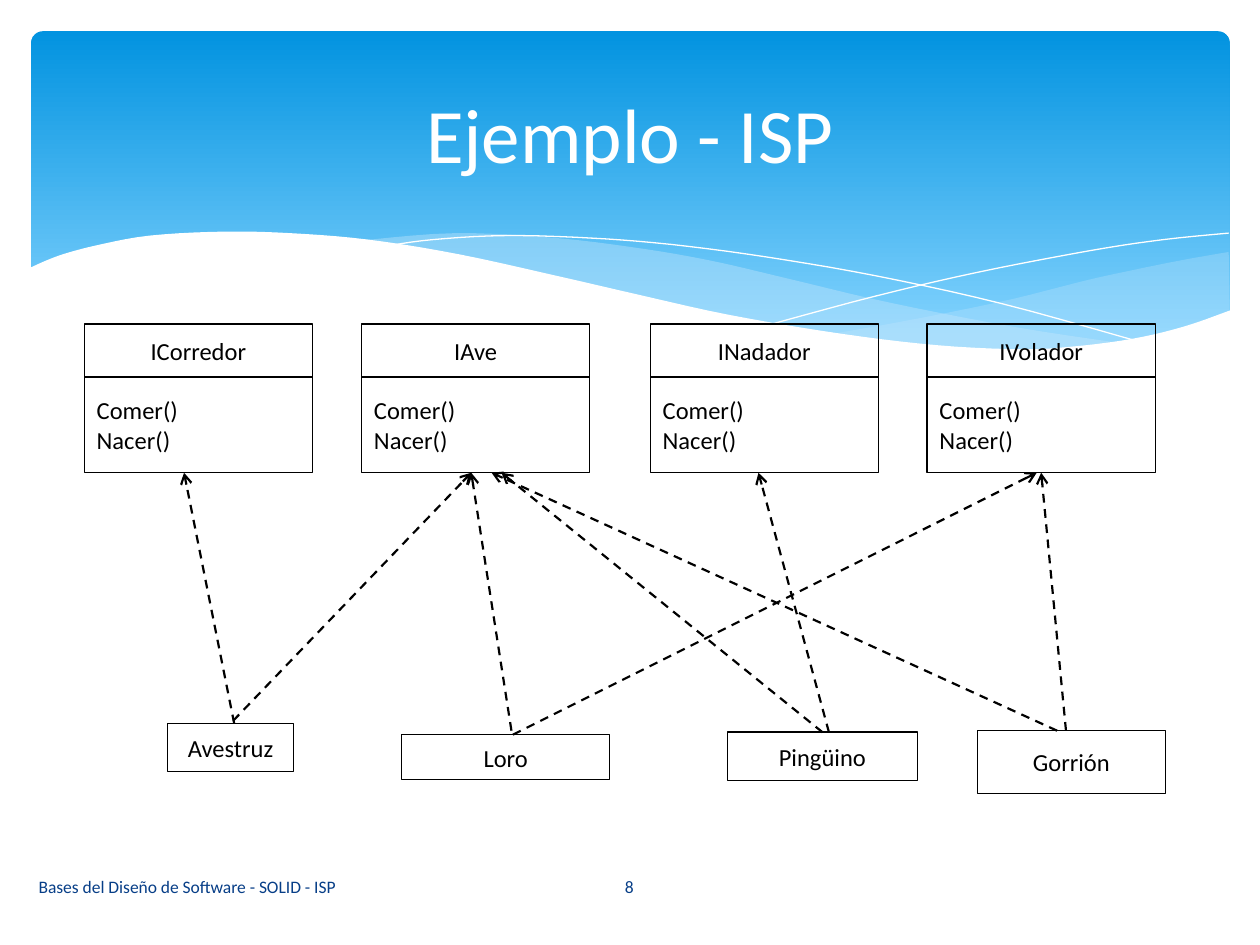
from itertools import pairwise

from lxml import etree
from pptx import Presentation, util as u
from pptx.dml.color import RGBColor
from pptx.enum import dml, shapes, text
from pptx.oxml import ns

WHITE = RGBColor(0xFF, 0xFF, 0xFF)
BLACK = RGBColor(0x00, 0x00, 0x00)
NAVY = RGBColor(0x07, 0x3E, 0x87)
SKY_TOP = RGBColor(0x02, 0x93, 0xE0)
SKY_BOTTOM = RGBColor(0x83, 0xD3, 0xFE)
MIST = RGBColor(0xC6, 0xE7, 0xFC)


def write(shape, content, size=14, color=BLACK, align=text.PP_ALIGN.CENTER):
    frame = shape.text_frame
    frame.word_wrap = True
    frame.auto_size = text.MSO_AUTO_SIZE.NONE
    frame.vertical_anchor = text.MSO_ANCHOR.MIDDLE
    for index, line in enumerate(content.split("\n")):
        para = frame.add_paragraph() if index else frame.paragraphs[0]
        para.alignment = align
        span = para.add_run()
        span.text = line
        span.font.name = "Calibri"
        span.font.size = u.Pt(size)
        span.font.color.rgb = color


def smooth(knots, steps=5):
    padded = [knots[0], *knots, knots[-1]]
    points = [knots[0]]
    for a, b, c, d in zip(padded, padded[1:], padded[2:], padded[3:]):
        for step in range(1, steps + 1):
            t = step / steps
            points.append(tuple(
                0.5 * (2 * q + (r - p) * t + (2 * p - 5 * q + 4 * r - s) * t**2
                       + (3 * q - p - 3 * r + s) * t**3)
                for p, q, r, s in zip(a, b, c, d)))
    return points


deck = Presentation()
deck.slide_width, deck.slide_height = u.Cm(25.4), u.Cm(19.05)
page = deck.slides.add_slide(deck.slide_layouts[5])

banner = page.shapes.add_shape(
    shapes.MSO_SHAPE.ROUNDED_RECTANGLE, u.Cm(0.63), u.Cm(0.63), u.Cm(24.16), u.Cm(6.86))
banner.adjustments[0] = 0.034
banner.shadow.inherit = False
banner.line.fill.background()
banner.fill.gradient()
banner.fill.gradient_angle = 270
for stop, color, position in zip(banner.fill.gradient_stops, (SKY_TOP, SKY_BOTTOM), (0, 0.9)):
    stop.color.rgb = color
    stop.position = position

right_wave = smooth([
    (24.77, 5.08), (23.75, 5.26), (22.63, 5.49), (21.87, 5.66), (20.45, 6.02),
    (19.13, 6.3), (17.93, 6.53), (16.79, 6.73),
]) + smooth([
    (16.79, 6.73), (17.91, 6.88), (18.92, 6.99), (20.4, 7.06), (21.69, 7.01),
    (22.78, 6.86), (23.75, 6.65), (24.79, 6.27),
])
middle_wave = smooth([
    (22.68, 6.93), (20.5, 6.6), (17.93, 6.1), (15.98, 5.64), (14.45, 5.28),
    (13.06, 5.03), (11.23, 4.8), (9.17, 4.7), (7.26, 4.85),
]) + smooth([
    (7.26, 4.85), (9.19, 5.16), (11.4, 5.64), (13.46, 6.1), (15.27, 6.48),
    (16.89, 6.76), (18.69, 6.99), (20.22, 7.06), (21.54, 7.04), (22.68, 6.93),
])
falling_line = smooth([
    (7.85, 4.95), (8.74, 4.83), (10.19, 4.75), (11.91, 4.8), (13.54, 4.93),
    (15.44, 5.18), (17.65, 5.56), (20.19, 6.12), (23.04, 6.91),
])
rising_line = smooth([
    (15.57, 6.53), (17.65, 5.97), (19.71, 5.49), (22, 5.05), (23.47, 4.83), (24.77, 4.7),
])
white_wave = smooth([
    (24.82, 6.25), (23.88, 6.58), (22.83, 6.83), (21.59, 6.99), (20.55, 7.04),
    (18.9, 6.96), (16.97, 6.73), (14.71, 6.35), (12.78, 5.92), (11.35, 5.59),
    (9.27, 5.13), (7.42, 4.83), (5.84, 4.7), (4.5, 4.67), (3.02, 4.75),
    (1.93, 4.95), (1.17, 5.16), (0.58, 5.41),
]) + [(0.58, 8.36), (24.82, 8.36)]

for outline, color, opacity in (
    (right_wave, MIST, 29), (middle_wave, MIST, 40),
    (falling_line, None, None), (rising_line, None, None), (white_wave, WHITE, 100),
):
    points = [(u.Cm(x), u.Cm(y)) for x, y in outline]
    builder = page.shapes.build_freeform(*points[0])
    builder.add_line_segments(points[1:], close=color is not None)
    wave = builder.convert_to_shape()
    wave.shadow.inherit = False
    if color is None:
        wave.fill.background()
        wave.line.color.rgb = WHITE
        wave.line.width = u.Pt(0)
        continue
    wave.line.fill.background()
    wave.fill.solid()
    wave.fill.fore_color.rgb = color
    if opacity < 100:
        tint = wave._element.spPr.find(".//" + ns.qn("a:srgbClr"))
        etree.SubElement(tint, ns.qn("a:alpha"), val=str(opacity * 1000))

title = page.shapes.title
title.left, title.top, title.width, title.height = u.Cm(1.27), u.Cm(0.94), u.Cm(22.86), u.Cm(3.48)
write(title, "Ejemplo - ISP", size=44, color=WHITE)
page.shapes._spTree.append(title._element)

CENTER, LEFT = text.PP_ALIGN.CENTER, text.PP_ALIGN.LEFT
specs = [
    ("Avestruz", 3.38, 14.58, 2.54, 0.97, CENTER),
    ("Loro", 8.1, 14.81, 4.19, 0.91, CENTER),
    ("Pingüino", 14.66, 14.76, 3.84, 0.97, CENTER),
    ("Gorrión", 19.71, 14.73, 3.78, 1.27, CENTER),
]
for name, left in (("ICorredor", 1.7), ("IAve", 7.29), ("INadador", 13.11), ("IVolador", 18.69)):
    specs.append((name, left, 6.53, 4.6, 1.07, CENTER))
    specs.append(("Comer()\nNacer()", left, 7.6, 4.6, 1.93, LEFT))

boxes = {}
for label, left, top, width, height, align in specs:
    box = page.shapes.add_shape(
        shapes.MSO_SHAPE.RECTANGLE, u.Cm(left), u.Cm(top), u.Cm(width), u.Cm(height))
    box.shadow.inherit = False
    box.fill.background()
    box.line.color.rgb = BLACK
    box.line.width = u.Pt(0.75)
    write(box, label, align=align)
    boxes[label, left] = box

pinguino = boxes["Pingüino", 14.66]
volador_methods = boxes["Comer()\nNacer()", 18.69]
for start_x, start_y, end_x, source, target in (
    (21.49, 14.73, 21.0, None, volador_methods),
    (10.34, 14.81, 20.9, None, None),
    (16.71, 14.76, 15.29, None, None),
    (4.72, 14.58, 3.71, None, None),
    (21.31, 14.73, 9.91, None, None),
    (16.59, 14.76, 10.11, pinguino, None),
    (10.31, 14.73, 9.5, None, None),
    (4.7, 14.53, 9.5, None, None),
):
    arrow = page.shapes.add_connector(
        shapes.MSO_CONNECTOR.STRAIGHT, u.Cm(start_x), u.Cm(start_y), u.Cm(end_x), u.Cm(9.53))
    if source:
        arrow.begin_connect(source, 0)
    if target:
        arrow.end_connect(target, 2)
    arrow.line.color.rgb = BLACK
    arrow.line.width = u.Pt(1.25)
    arrow.line.dash_style = dml.MSO_LINE.DASH
    etree.SubElement(arrow.line._get_or_add_ln(), ns.qn("a:tailEnd"), type="arrow")
    etree.SubElement(arrow._element.spPr, ns.qn("a:effectLst"))

for label, left, width, align in (
    ("Bases del Diseño de Software - SOLID - ISP", 0.53, 10.52, LEFT),
    ("8", 11.07, 3.23, CENTER),
):
    box = page.shapes.add_textbox(u.Cm(left), u.Cm(17.37), u.Cm(width), u.Cm(1.02))
    write(box, label, size=10, color=NAVY, align=align)

deck.save("out.pptx")
